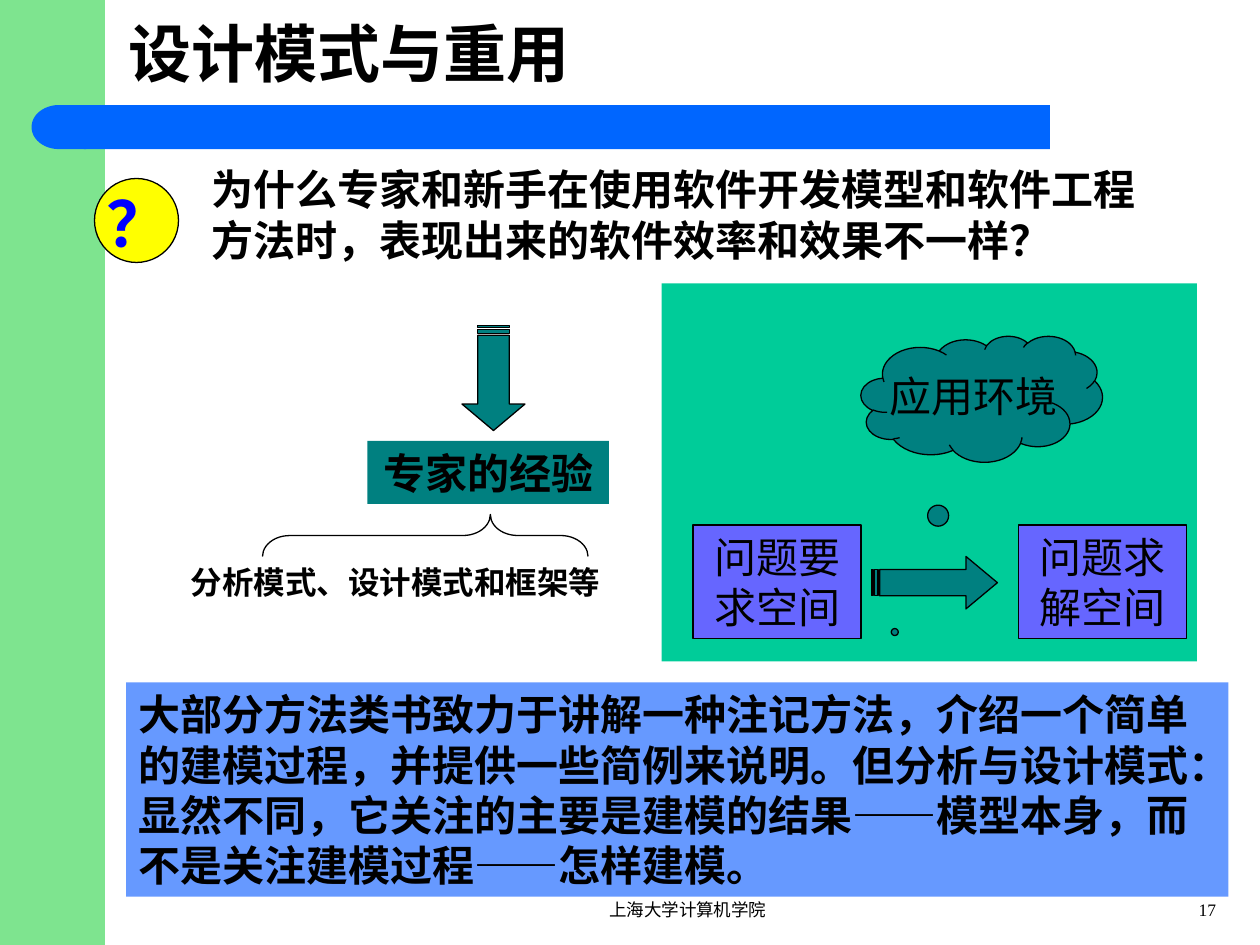
from pptx import Presentation
from pptx.dml.color import RGBColor
from pptx.enum.shapes import MSO_SHAPE as Shape
from pptx.enum.text import MSO_ANCHOR as Anchor, MSO_AUTO_SIZE as AutoSize, PP_ALIGN as Align
from pptx.util import Inches, Pt

COLORS = {
    "black": "000000", "question": "0000FF", "sidebar": "7EE48F", "bar": "0066FF",
    "badge": "FFFF00", "teal": "008080", "panel": "00CC99", "space": "6666FF",
    "summary": "6699FF",
}


class SlideBuilder:
    COLUMNS, ROWS = 120, 90
    FONT = "Times New Roman"

    def __init__(self, deck):
        self.column = deck.slide_width / self.COLUMNS
        self.row = deck.slide_height / self.ROWS
        self.slide = deck.slides.add_slide(deck.slide_layouts[5])

    def area(self, left, top, width, height):
        return (round(left * self.column), round(top * self.row),
                round(width * self.column), round(height * self.row))

    def color(self, name):
        return RGBColor.from_string(COLORS[name])

    def set_words(self, shape, words, size, bold=False, align=Align.LEFT,
                  anchor=Anchor.TOP, color="black", font=FONT, wrap=True):
        frame = shape.text_frame
        frame.text = words
        frame.word_wrap = wrap
        frame.auto_size = AutoSize.NONE
        frame.vertical_anchor = anchor
        paragraph = frame.paragraphs[0]
        paragraph.alignment = align
        for run in paragraph.runs:
            run.font.name = font
            run.font.size = Pt(size)
            run.font.bold = bold
            run.font.color.rgb = self.color(color)

    def title(self, box, words):
        heading = self.slide.shapes.title
        heading.left, heading.top, heading.width, heading.height = self.area(*box)
        self.set_words(heading, words, 36, bold=True, anchor=Anchor.MIDDLE)

    def text(self, box, words, size, **style):
        self.set_words(self.slide.shapes.add_textbox(*self.area(*box)), words, size, **style)

    def shape(self, kind, box, fill=None, outlined=False, adjust=(), rotation=0):
        shape = self.slide.shapes.add_shape(kind, *self.area(*box))
        shape.shadow.inherit = False
        shape.rotation = rotation
        for index, value in enumerate(adjust):
            shape.adjustments[index] = value
        if fill:
            shape.fill.solid()
            shape.fill.fore_color.rgb = self.color(fill)
        else:
            shape.fill.background()
        if outlined:
            shape.line.color.rgb = self.color("black")
            shape.line.width = Pt(0.75)
        else:
            shape.line.fill.background()
        return shape

    def labelled(self, kind, box, fill, words, outlined=False, adjust=(), **style):
        shape = self.shape(kind, box, fill, outlined, adjust)
        self.set_words(shape, words, 24, **style)


def main():
    deck = Presentation()
    deck.slide_width, deck.slide_height = Inches(10), Inches(7.5)
    page = SlideBuilder(deck)

    page.shape(Shape.RECTANGLE, (0, 0, 10, 90), "sidebar")
    page.shape(Shape.ROUNDED_RECTANGLE, (8, 10, 92, 4.2), "bar", adjust=[0])
    page.shape(Shape.FLOWCHART_DELAY, (3, 10, 5.2, 4.2), "bar", rotation=180)
    page.title((11, 0, 104, 10), "设计模式与重用")

    page.shape(Shape.OVAL, (9, 17, 8, 8), "badge", outlined=True)
    page.text((9, 17, 10, 8.4), "？", 36, bold=True, color="question")
    page.text((19, 15, 93, 10.8),
              "为什么专家和新手在使用软件开发模型和软件工程方法时，表现出来的软件效率和效果不一样？",
              24, bold=True)

    page.shape(Shape.STRIPED_RIGHT_ARROW, (42, 33, 10, 6), "teal", outlined=True,
               adjust=[0.5, 0.42], rotation=90)
    page.labelled(Shape.RECTANGLE, (35, 42, 23, 6), "teal", "专家的经验",
                  bold=True, align=Align.CENTER)
    page.shape(Shape.LEFT_BRACE, (38.5, 35.5, 4, 31), outlined=True,
               adjust=[0.65, 0.3], rotation=90)
    page.text((17, 53, 44, 4.8), "分析模式、设计模式和框架等", 18, bold=True)

    page.shape(Shape.RECTANGLE, (63, 27, 51, 36), "panel")
    page.labelled(Shape.CLOUD_CALLOUT, (82, 32, 23, 12), "teal", "应用环境",
                  outlined=True, adjust=[-0.36, 1.85], align=Align.CENTER,
                  anchor=Anchor.MIDDLE, wrap=False)
    for left, words in ((66, "问题要求空间"), (97, "问题求解空间")):
        page.labelled(Shape.RECTANGLE, (left, 50, 16, 10.8), "space", words,
                      outlined=True, align=Align.CENTER)
    page.shape(Shape.STRIPED_RIGHT_ARROW, (83, 53, 12, 5), "teal", outlined=True,
               adjust=[0.5, 0.6])

    page.labelled(Shape.RECTANGLE, (12, 65, 105, 20.4), "summary",
                  "大部分方法类书致力于讲解一种注记方法，介绍一个简单的建模过程，"
                  "并提供一些简例来说明。但分析与设计模式：显然不同，它关注的主要是"
                  "建模的结果——模型本身，而不是关注建模过程——怎样建模。",
                  bold=True, font="Noto Sans CJK SC")

    page.text((45, 85, 41, 3), "上海大学计算机学院", 10, align=Align.CENTER)
    page.text((108, 85, 9, 3), "17", 10, align=Align.RIGHT)

    deck.save("out.pptx")


if __name__ == "__main__":
    main()
